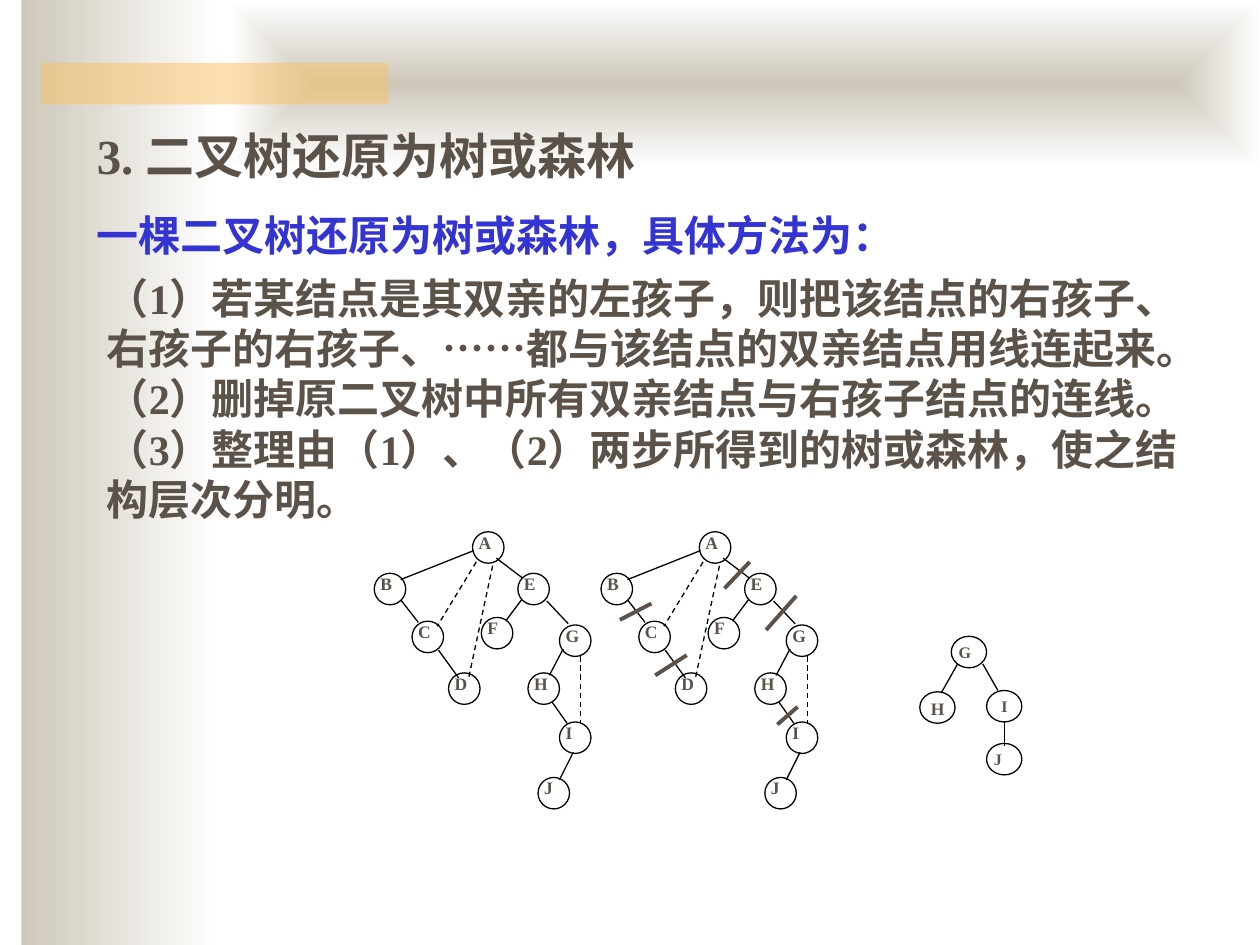
from dataclasses import dataclass

from lxml.etree import SubElement
from pptx import Presentation
from pptx.dml.color import RGBColor
from pptx.enum.dml import MSO_LINE
from pptx.enum.shapes import MSO_CONNECTOR, MSO_SHAPE
from pptx.enum.text import PP_ALIGN
from pptx.oxml.ns import qn
from pptx.util import Inches, Pt

BROWN = RGBColor(0x5B, 0x52, 0x49)
BLUE = RGBColor(0x34, 0x34, 0xD2)
BLACK = RGBColor(0, 0, 0)
WHITE = RGBColor(255, 255, 255)
SAND = RGBColor(0xCE, 0xC8, 0xBA)
GOLD = RGBColor(0xFA, 0xC1, 0x64)
SERIF = "Times New Roman"
SANS = "Noto Sans CJK SC"


@dataclass(frozen=True)
class Node:
    name: str
    x: float
    y: float
    dx: float = -0.05
    dy: float = -0.05
    width: float = 0.25
    size: float = 10


@dataclass(frozen=True)
class Edge:
    x1: float
    y1: float
    x2: float
    y2: float
    dash: bool = False
    color: RGBColor = BLACK
    weight: float = 0.75


@dataclass(frozen=True)
class Block:
    top: float
    left: float
    width: float
    height: float
    size: float
    color: RGBColor
    lines: tuple


TITLE = Block(0.95, 0.67, 9, 0.57, 28, BROWN, (
    (("3. 二叉树还原为树或森林", SERIF),),
))
LEAD = Block(1.61, 0.67, 8.92, 0.5, 24, BLUE, (
    (("一棵二叉树还原为树或森林，具体方法为：", SERIF),),
))
STEPS = Block(2.11, 0.75, 9, 2.1, 24, BROWN, (
    (("（1）", SERIF),
     ("若某结点是其双亲的左孩子，则把该结点的右孩子、右孩子的右孩子、", SANS),
     ("……", SERIF),
     ("都与该结点的双亲结点用线连起来。", SANS)),
    (("（2）", SERIF),
     ("删掉原二叉树中所有双亲结点与右孩子结点的连线。", SANS)),
    (("（3）", SERIF), ("整理由（", SANS), ("1", SERIF), ("）、（", SANS),
     ("2", SERIF),
     ("）两步所得到的树或森林，使之结构层次分明。", SANS)),
))

NODES = [
    Node("D", 3.56, 5.34), Node("A", 3.75, 4.22), Node("B", 2.97, 4.55),
    Node("C", 3.27, 4.93), Node("E", 4.11, 4.55), Node("F", 3.82, 4.9),
    Node("G", 4.44, 4.96), Node("H", 4.19, 5.34), Node("I", 4.44, 5.73),
    Node("J", 4.27, 6.17),
]
EDGES = [
    Edge(3.76, 4.37, 3.18, 4.6), Edge(3.18, 4.76, 3.32, 4.94),
    Edge(3.48, 5.16, 3.64, 5.38), Edge(3.94, 4.43, 4.15, 4.59),
    Edge(4.14, 4.76, 4.02, 4.92), Edge(4.34, 4.77, 4.51, 4.95),
    Edge(4.47, 5.15, 4.36, 5.36), Edge(4.38, 5.57, 4.5, 5.74),
    Edge(4.55, 5.97, 4.44, 6.19), Edge(3.78, 4.46, 3.47, 4.97, True),
    Edge(3.91, 4.49, 3.72, 5.38, True), Edge(4.61, 5.21, 4.61, 5.74, True),
]
SMALL_NODES = [
    Node("H", 7.3, 5.49, -0.01, 0, 0.28),
    Node("I", 7.83, 5.48, 0.02, 0, 0.28, 9.2),
    Node("J", 7.83, 5.9, -0.04, 0, 0.28, 9.2),
    Node("G", 7.55, 5.05, -0.04, 0, 0.28, 9.2),
]
SMALL_EDGES = [
    Edge(7.6, 5.27, 7.47, 5.5), Edge(7.8, 5.27, 7.92, 5.48),
    Edge(7.97, 5.72, 7.97, 5.92),
]
CUTS = [
    Edge(*ends, color=BROWN, weight=2.25) for ends in (
        (5.17, 4.79, 4.92, 4.92), (5.45, 5.2, 5.2, 5.36),
        (5.95, 4.46, 5.75, 4.67), (6.32, 4.73, 6.08, 5),
        (6.33, 5.61, 6.17, 5.75),
    )
]


def add_run(para, text: str, face: str, size: float, color: RGBColor) -> None:
    run = para.add_run()
    run.text = text
    font = run.font
    font.name, font.size, font.bold = face, Pt(size), True
    font.color.rgb = color
    SubElement(run.font._element, qn("a:ea")).set("typeface", SANS)


def add_block(shapes, block: Block) -> None:
    box = shapes.add_textbox(Inches(block.left), Inches(block.top),
                             Inches(block.width), Inches(block.height))
    frame = box.text_frame
    frame.word_wrap = True
    for i, line in enumerate(block.lines):
        para = frame.add_paragraph() if i else frame.paragraphs[0]
        para.line_spacing = Pt(block.size * 1.2)
        for text, face in line:
            add_run(para, text, face, block.size, block.color)


def add_band(shapes, x: float, y: float, width: float, height: float):
    band = shapes.add_shape(MSO_SHAPE.RECTANGLE, Inches(x), Inches(y),
                            Inches(width), Inches(height))
    band.shadow.inherit = False
    band.line.fill.background()
    return band


def fade(band) -> None:
    band.fill.gradient()
    band.fill.gradient_angle = 0
    for stop, color in zip(band.fill.gradient_stops, (SAND, WHITE)):
        stop.color.rgb = color


def add_node(shapes, node: Node, shift: float) -> None:
    x = node.x + shift
    box = shapes.add_textbox(Inches(x + node.dx), Inches(node.y + node.dy),
                             Inches(0.4), Inches(0.4))
    box.text_frame.word_wrap = True
    para = box.text_frame.paragraphs[0]
    para.alignment = PP_ALIGN.JUSTIFY
    add_run(para, node.name, SERIF, node.size, BROWN)
    ring = shapes.add_shape(MSO_SHAPE.OVAL, Inches(x), Inches(node.y),
                            Inches(node.width), Inches(0.25))
    ring.shadow.inherit = False
    ring.fill.background()
    ring.line.color.rgb = BLACK
    ring.line.width = Pt(0.75)


def add_edge(shapes, edge: Edge, shift: float = 0) -> None:
    link = shapes.add_connector(
        MSO_CONNECTOR.STRAIGHT, Inches(edge.x1 + shift), Inches(edge.y1),
        Inches(edge.x2 + shift), Inches(edge.y2))
    link.line.color.rgb = edge.color
    link.line.width = Pt(edge.weight)
    if edge.dash:
        link.line.dash_style = MSO_LINE.DASH
    SubElement(link._element.spPr, qn("a:effectLst"))


def add_tree(shapes, nodes: list, edges: list, shift: float = 0) -> None:
    group = shapes.add_group_shape().shapes
    for node in nodes:
        add_node(group, node, shift)
    for edge in edges:
        add_edge(group, edge, shift)


def main() -> None:
    deck = Presentation()
    deck.slide_width, deck.slide_height = Inches(10), Inches(7.5)
    shapes = deck.slides.add_slide(deck.slide_layouts[6]).shapes

    fade(add_band(shapes, 0.17, 0, 1.58, 7.5))
    head = add_band(shapes, 1.83, 0, 8.17, 1.33)
    fade(head)
    grad = head._element.spPr.find(qn("a:gradFill"))
    grad.remove(grad.find(qn("a:lin")))
    glow = SubElement(grad, qn("a:path"))
    glow.set("path", "rect")
    focus = SubElement(glow, qn("a:fillToRect"))
    for side in "ltrb":
        focus.set(side, "50000")
    bar = add_band(shapes, 0.33, 0.5, 2.75, 0.33)
    bar.fill.solid()
    bar.fill.fore_color.rgb = GOLD
    tint = bar._element.spPr.find(qn("a:solidFill"))[0]
    SubElement(tint, qn("a:alpha")).set("val", "50000")

    for block in (TITLE, LEAD, STEPS):
        add_block(shapes, block)
    for shift in (0, 1.8):
        add_tree(shapes, NODES, EDGES, shift)
    add_tree(shapes, SMALL_NODES, SMALL_EDGES)
    for cut in CUTS:
        add_edge(shapes, cut)
    deck.save("out.pptx")


if __name__ == "__main__":
    main()
